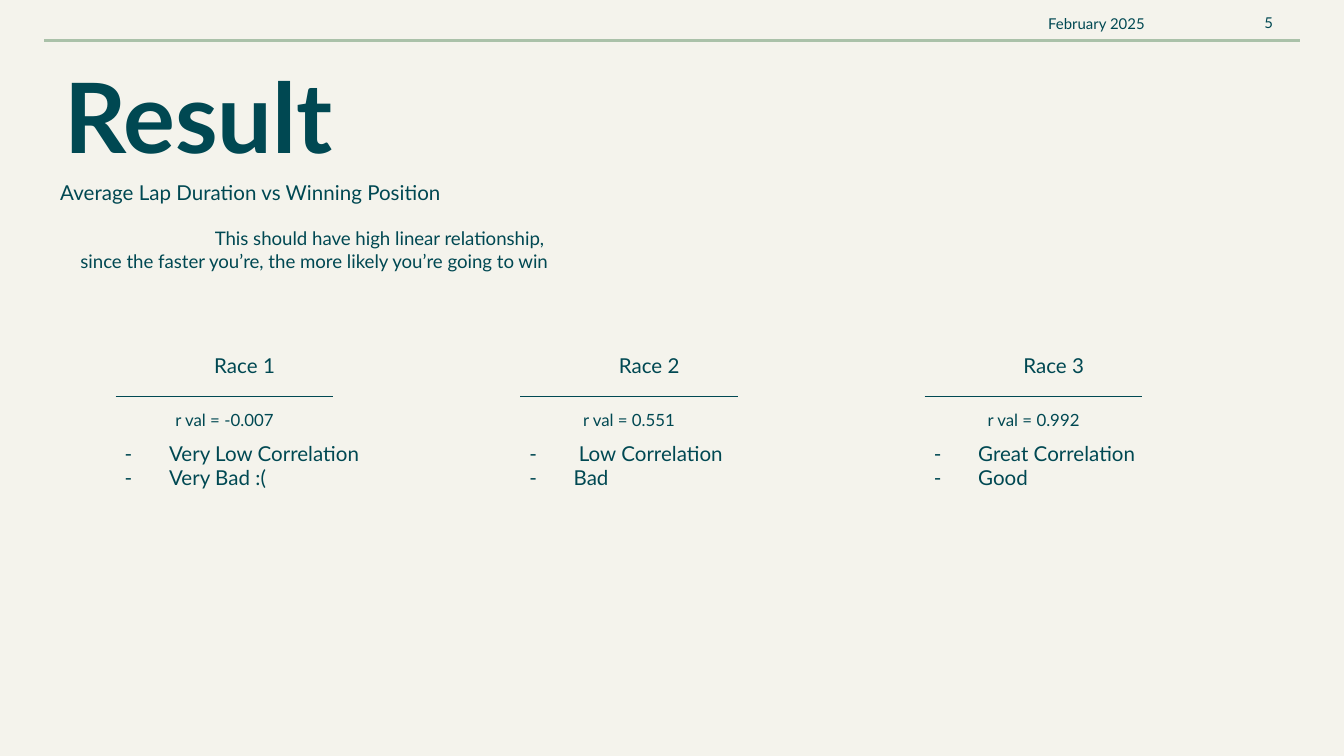
"""Build the race correlation result slide."""
from dataclasses import dataclass

from lxml import etree
from pptx import Presentation
from pptx.dml.color import RGBColor
from pptx.enum.shapes import MSO_CONNECTOR
from pptx.enum.text import MSO_ANCHOR, PP_ALIGN
from pptx.oxml.ns import qn
from pptx.util import Inches, Pt

STRAIGHT = MSO_CONNECTOR.STRAIGHT
TOP, MIDDLE = MSO_ANCHOR.TOP, MSO_ANCHOR.MIDDLE
LEFT, CENTER, RIGHT = PP_ALIGN.LEFT, PP_ALIGN.CENTER, PP_ALIGN.RIGHT


@dataclass(frozen=True)
class Theme:
    font: str = "Lato"
    background: RGBColor = RGBColor(0xF4, 0xF3, 0xEC)
    ink: RGBColor = RGBColor(0x00, 0x48, 0x52)
    rule: RGBColor = RGBColor(0xAA, 0xC1, 0xA9)
    title: int = 52
    body: int = 11
    note: int = 10
    value: int = 9
    header: int = 8


class SlideBuilder:
    def __init__(self, slide, theme):
        self.slide = slide
        self.theme = theme
        fill = slide.background.fill
        fill.solid()
        fill.fore_color.rgb = theme.background

    def text(self, box, lines, size, align=LEFT, anchor=TOP, bold=False):
        tf = self.slide.shapes.add_textbox(*map(Inches, box)).text_frame
        tf.word_wrap = True
        tf.vertical_anchor = anchor
        tf.margin_left = tf.margin_right = Inches(0.1)
        tf.margin_top = tf.margin_bottom = Inches(0.1)
        tf.text = "\n".join(lines)
        for p in tf.paragraphs:
            p.alignment = align
            p.font.name = self.theme.font
            p.font.size = Pt(size)
            p.font.bold = bold
            p.font.color.rgb = self.theme.ink
        return tf

    def indented(self, box, text, size, indent):
        tf = self.text(box, [text], size)
        tf.paragraphs[0]._p.get_or_add_pPr().set("indent", str(Inches(indent)))

    def bullets(self, box, lines, size):
        for p in self.text(box, lines, size).paragraphs:
            pPr = p._p.get_or_add_pPr()
            pPr.set("marL", str(Inches(0.5)))
            pPr.set("indent", str(Inches(-0.33)))
            color = etree.Element(qn("a:buClr"))
            etree.SubElement(color, qn("a:srgbClr"), val=str(self.theme.ink))
            for bullet in (
                color,
                etree.Element(qn("a:buSzPts"), val=str(size * 100)),
                etree.Element(qn("a:buFont"), typeface=self.theme.font),
                etree.Element(qn("a:buChar"), char="-"),
            ):
                pPr.insert_element_before(bullet, "a:tabLst", "a:defRPr")

    def line(self, x, y, width, color, weight):
        s = self.slide.shapes.add_connector(
            STRAIGHT, Inches(x), Inches(y), Inches(x + width), Inches(y))
        s.line.color.rgb = color
        s.line.width = Pt(weight)
        etree.SubElement(s._element.spPr, qn("a:effectLst"))

    def race(self, x, name, value, verdicts):
        t = self.theme
        self.text((x, 2.55, 2.32, 0.34), [name], t.body, CENTER, MIDDLE)
        self.line(x + 0.2, 2.95, 1.62, t.ink, 0.75)
        self.text((x + 0.2, 2.97, 1.62, 0.34), [f"r val = {value}"], t.value, CENTER)
        self.bullets((x, 3.18, 2.53, 0.84), verdicts, t.body)


def main():
    prs = Presentation()
    prs.slide_width = Inches(10)
    prs.slide_height = prs.slide_width * 9 // 16
    theme = Theme()
    b = SlideBuilder(prs.slides.add_slide(prs.slide_layouts[6]), theme)

    b.line(0.33, 0.3, 9.34, theme.rule, 1.5)
    b.text((7.7, 0.04, 1.33, 0.47), ["February 2025"], theme.header)
    b.text((8.63, 0.02, 0.94, 0.3), ["5"], theme.header, RIGHT, MIDDLE)

    b.text((0.38, 0.32, 6.72, 0.94), ["Result"], theme.title, bold=True)
    b.text((0.35, 1.26, 6.3, 0.34), ["Average Lap Duration vs Winning Position"],
           theme.body, anchor=MIDDLE)
    b.indented((0.5, 1.59, 3.73, 0.84),
               "This should have high linear relationship, "
               "since the faster you’re, the more likely you’re going to win",
               theme.note, 1)

    races = [
        ("Race 1", "-0.007", ["Very Low Correlation", "Very Bad :("]),
        ("Race 2", "0.551", [" Low Correlation", "Bad"]),
        ("Race 3", "0.992", ["Great Correlation", "Good"]),
    ]
    for i, race in enumerate(races):
        b.race(0.66 + 3.01 * i, *race)

    prs.save("out.pptx")


if __name__ == "__main__":
    main()
